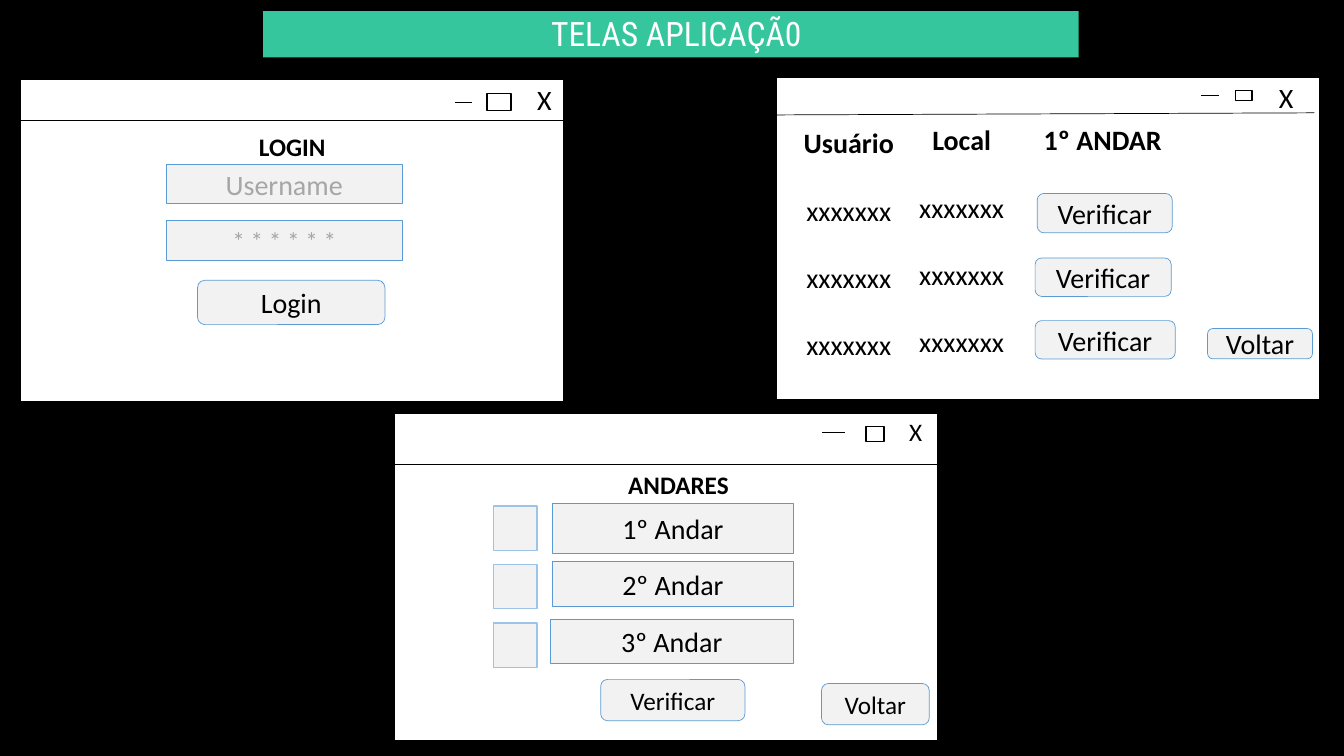
import pptx
import pptx.dml.color
import pptx.enum.shapes
import pptx.enum.text
import pptx.util
from lxml import etree

Pt = pptx.util.Pt
RECTANGLE = pptx.enum.shapes.MSO_SHAPE.RECTANGLE
ROUNDED = pptx.enum.shapes.MSO_SHAPE.ROUNDED_RECTANGLE
STRAIGHT = pptx.enum.shapes.MSO_CONNECTOR.STRAIGHT
TOP = pptx.enum.text.MSO_ANCHOR.TOP
MIDDLE = pptx.enum.text.MSO_ANCHOR.MIDDLE
CENTER = pptx.enum.text.PP_ALIGN.CENTER

COLORS = {
    "black": "000000",
    "white": "FFFFFF",
    "banner": "35C69D",
    "field": "F2F2F2",
    "field line": "5B9BD5",
    "checkbox line": "9DC3E6",
    "hint": "A6A6A6",
}
COLORS = {name: pptx.dml.color.RGBColor.from_string(value) for name, value in COLORS.items()}

presentation = pptx.Presentation()
presentation.slide_width = Pt(960)
presentation.slide_height = Pt(540)
slide = presentation.slides.add_slide(presentation.slide_layouts[6])


def write_text(shape, lines, size, color="black", bold=False, anchor=TOP, font="Calibri", gap=0):
    """Fill a shape with centred lines; bold marks the first line only."""
    text_frame = shape.text_frame
    text_frame.word_wrap = True
    text_frame.vertical_anchor = anchor
    text_frame.text = "\n".join(lines)
    for index, paragraph in enumerate(text_frame.paragraphs):
        paragraph.alignment = CENTER
        paragraph.space_before = Pt(gap if index else 0)
        run_font = paragraph.runs[0].font
        run_font.name = font
        run_font.size = Pt(size)
        run_font.bold = bold and index == 0
        run_font.color.rgb = COLORS[color]


def add_box(place, fill, line=None, weight=0.5, preset=RECTANGLE):
    shape = slide.shapes.add_shape(preset, *map(Pt, place))
    shape.shadow.inherit = False
    shape.fill.solid()
    shape.fill.fore_color.rgb = COLORS[fill]
    if line:
        shape.line.color.rgb = COLORS[line]
        shape.line.width = Pt(weight)
    else:
        shape.line.fill.background()
    return shape


# Backdrop and title
add_box((0, 0, 960, 540), "black")
add_box((187.9, 7.9, 582.5, 33.1), "banner")
title = slide.shapes.add_textbox(Pt(270.7), Pt(5.8), Pt(424.8), Pt(36))
write_text(title, ["TELAS APLICAÇÃ0"], 24, "white", font="Roboto Condensed")

# Windows: frame, maximise box, title bar line, minimise line, close box, close size
windows = [
    ((14.4, 56.9, 388, 230.4), (347.8, 67, 17.3, 12.2),
     (10.1, 85.7, 402.5, 85.7), (324.7, 73.4, 337, 73.4), (376.6, 55.4, 18, 31.7), 20),
    ((554.4, 55.4, 388, 230.4), (882.7, 64.8, 11.5, 7.2),
     (554.4, 82.1, 938.9, 80.6), (858.2, 68.4, 870.5, 68.4), (906.5, 54, 18, 31.7), 20),
    ((281.5, 295.2, 388, 234), (618.5, 304.6, 13, 10.8),
     (279.4, 331.9, 670.3, 331.9), (587.5, 308.9, 603.4, 308.9), (642.2, 293.8, 23.8, 28.8), 18),
]
for frame, maximise, title_bar, minimise, close, close_size in windows:
    for place in (frame, maximise):
        add_box(place, "white", "black", 1)
    for ends in (title_bar, minimise):
        connector = slide.shapes.add_connector(STRAIGHT, *map(Pt, ends))
        connector.line.color.rgb = COLORS["black"]
        connector.line.width = Pt(0.5)
        etree.SubElement(connector.element.spPr, pptx.oxml.ns.qn("a:effectLst"))
    close_label = slide.shapes.add_textbox(*map(Pt, close))
    write_text(close_label, ["X"], close_size)

# Headings and the two user columns
cells = ["xxxxxxx"] * 3
labels = [
    ((77, 90, 263.5, 28.8), ["LOGIN"], 18),
    ((287.3, 331.9, 394.6, 28.8), ["ANDARES"], 18),
    ((728.6, 84.2, 118.1, 31.7), ["1º ANDAR"], 20),
    ((563.8, 86.4, 85, 177.1), ["Usuário"] + cells, 20),
    ((644.4, 84.2, 85, 177.1), ["Local"] + cells, 20),
]
for place, lines, size in labels:
    label = slide.shapes.add_textbox(*map(Pt, place))
    write_text(label, lines, size, bold=True, gap=24)

# Login fields
fields = [("Username", 117.4, 20, MIDDLE), ("* * * * * *", 157.7, 18, TOP)]
for text, top, size, anchor in fields:
    field = add_box((118.8, top, 168.5, 28.1), "field", "field line")
    write_text(field, [text], size, "hint", anchor=anchor)

# Floor choices with their checkboxes
floors = [
    ("1º Andar", (394.6, 359.3, 172.1, 36)),
    ("2º Andar", (394.6, 401, 172.1, 32.4)),
    ("3º Andar", (393.1, 442.1, 173.5, 31.7)),
]
for index, (text, place) in enumerate(floors):
    floor = add_box(place, "field", "field line")
    write_text(floor, [text], 20, anchor=MIDDLE)
    add_box((352.5, 361.4 + 41.8 * index, 31, 31.7), "field", "checkbox line", 1)

# Buttons
buttons = [
    ("Login", (141.1, 200.2, 133.9, 31.7), 20),
    ("Verificar", (740.9, 138.2, 96.5, 28.1), 20),
    ("Verificar", (739.4, 184.3, 97.2, 27.4), 20),
    ("Verificar", (739.4, 229, 100.1, 27.4), 20),
    ("Voltar", (862.6, 234.7, 74.9, 21.6), 20),
    ("Verificar", (429.1, 485.3, 103, 29.5), 18),
    ("Voltar", (586.8, 488.2, 77, 29.5), 18),
]
for text, place, size in buttons:
    button = add_box(place, "field", "field line", preset=ROUNDED)
    write_text(button, [text], size, anchor=MIDDLE)

presentation.save("out.pptx")
